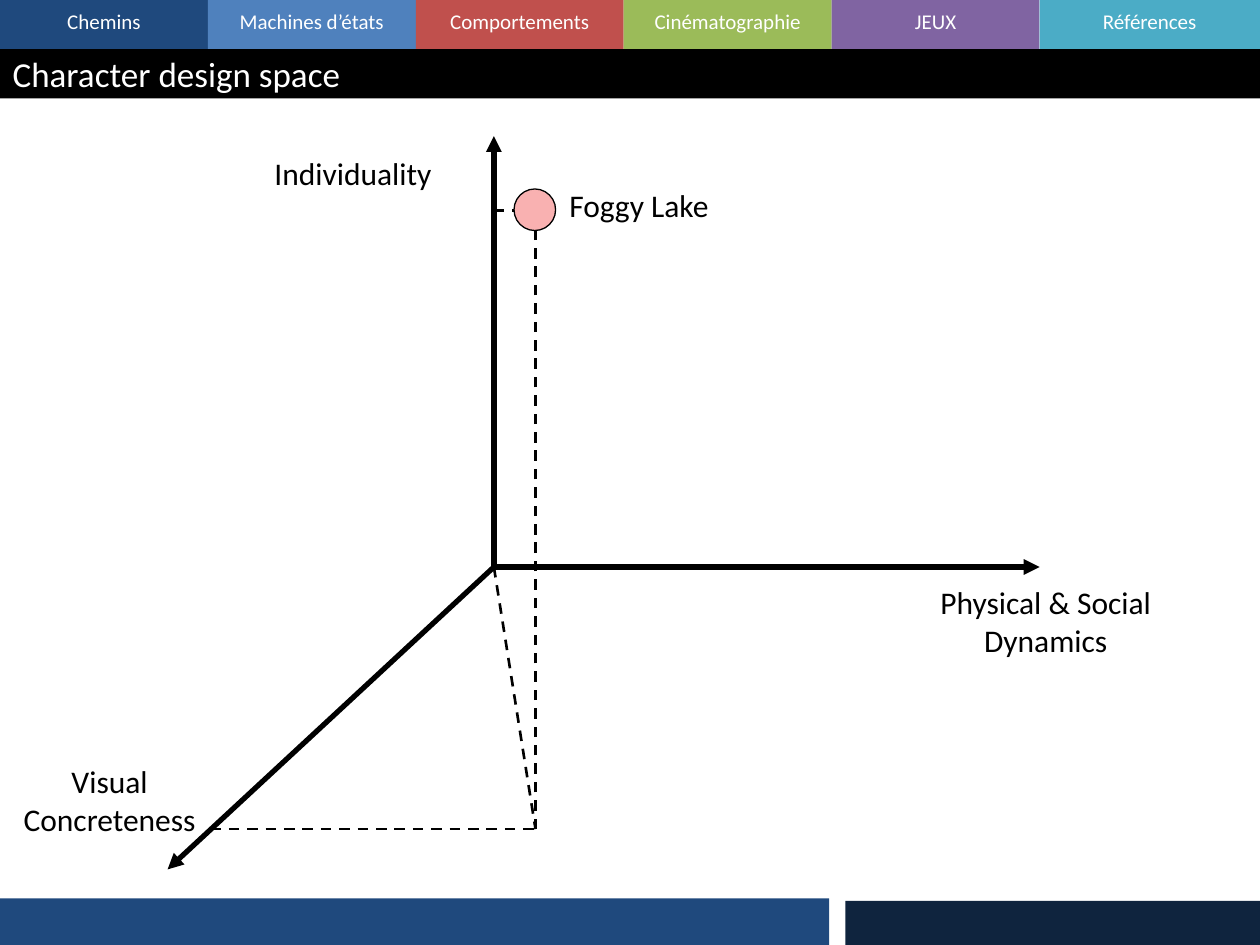
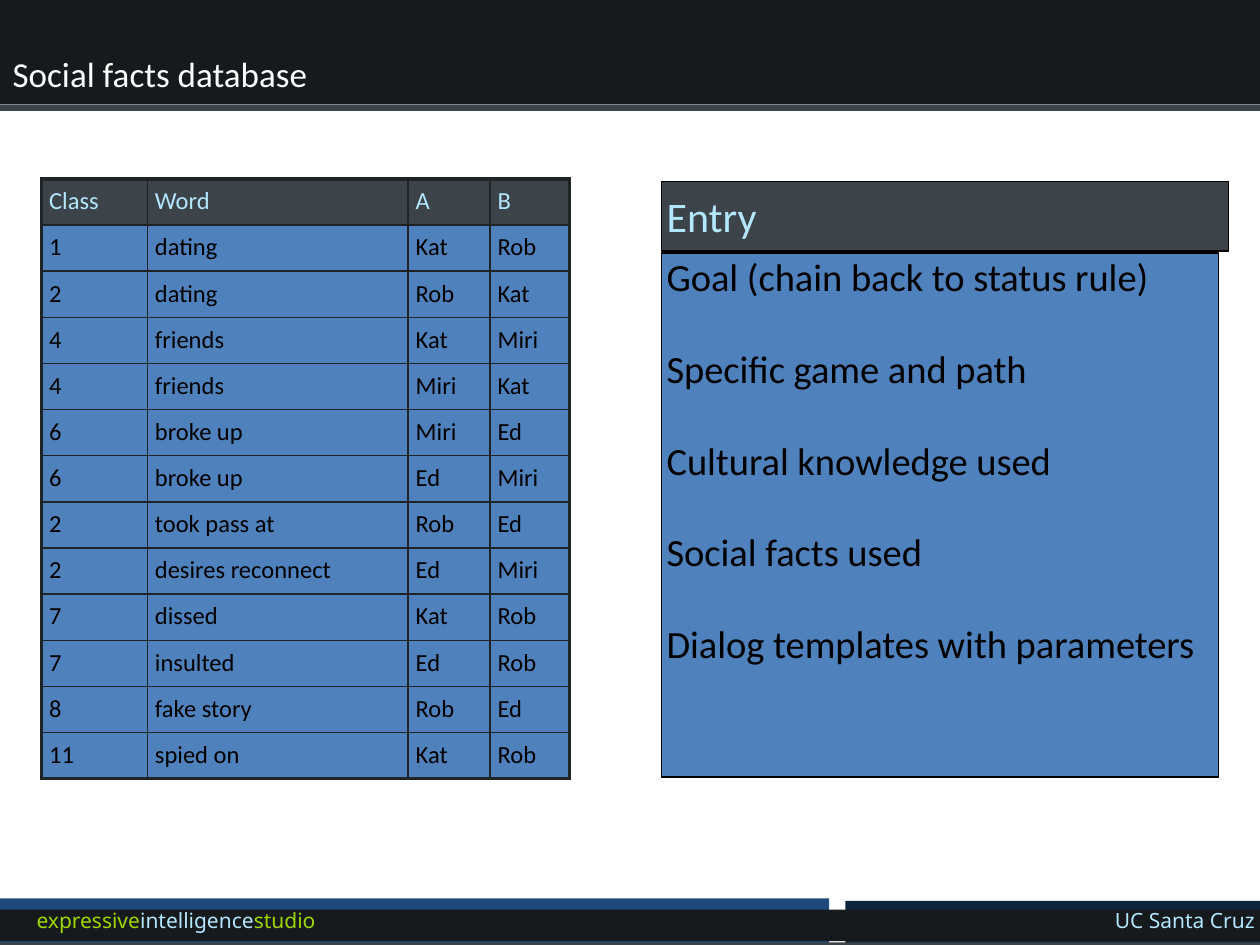
from dataclasses import dataclass

from lxml.etree import SubElement
from pptx import Presentation
from pptx.dml.color import RGBColor as RGB
from pptx.enum.dml import MSO_LINE as Dash
from pptx.enum.shapes import MSO_CONNECTOR as Link, MSO_SHAPE as Kind
from pptx.enum.text import MSO_ANCHOR as Anchor, MSO_AUTO_SIZE as Fit, PP_ALIGN as Align
from pptx.oxml.ns import qn
from pptx.util import Inches, Pt


@dataclass(frozen=True)
class Theme:
    font: str = "Calibri"
    brand: str = "Noto Sans"
    black: str = "000000"
    white: str = "FFFFFF"
    navy: str = "1F497D"
    deep: str = "0F243E"
    blue: str = "4F81BD"
    red: str = "C0504D"
    green: str = "9BBB59"
    violet: str = "8064A2"
    aqua: str = "4BACC6"
    pink: str = "F9B1B1"
    coal: str = "161A1C"
    slate: str = "3D4449"
    edge: str = "1F2427"
    sky: str = "B3E7FF"
    lime: str = "9ED600"
    small: int = 12
    cell: int = 14
    label: int = 18
    title: int = 20
    body: int = 22
    head: int = 24


THEME = Theme()
WIDE, HIGH = 10, 7.5
PAD = (0.1, 0.05, 0.1, 0.05)
SLIM = (0.04, 0, 0.04, 0)
TABS = [
    ("Chemins", THEME.navy),
    ("Machines d’états", THEME.blue),
    ("Comportements", THEME.red),
    ("Cinématographie", THEME.green),
    ("JEUX", THEME.violet),
    ("Références", THEME.aqua),
]
FACTS = [
    ("Class", "Word", "A", "B"),
    ("1", "dating", "Kat", "Rob"),
    ("2", "dating", "Rob", "Kat"),
    ("4", "friends", "Kat", "Miri"),
    ("4", "friends", "Miri", "Kat"),
    ("6", "broke up", "Miri", "Ed"),
    ("6", "broke up", "Ed", "Miri"),
    ("2", "took pass at", "Rob", "Ed"),
    ("2", "desires reconnect", "Ed", "Miri"),
    ("7", "dissed", "Kat", "Rob"),
    ("7", "insulted", "Ed", "Rob"),
    ("8", "fake story", "Rob", "Ed"),
    ("11", "spied on", "Kat", "Rob"),
]
ENTRY = [
    "Goal (chain back to status rule)",
    "Specific game and path",
    "Cultural knowledge used",
    "Social facts used",
    "Dialog templates with parameters",
]


def box(*nums):
    return [Inches(n) for n in nums]


def rgb(code):
    return RGB.from_string(code)


class Deck:
    def __init__(self, theme):
        self.theme = theme
        self.prs = Presentation()
        self.prs.slide_width, self.prs.slide_height = box(WIDE, HIGH)
        self.slide = None

    def start(self):
        """Add a title-only slide with the two footer bands."""
        self.slide = self.prs.slides.add_slide(self.prs.slide_layouts[5])
        self.shape((0, 7.13, 6.58, HIGH - 7.13), self.theme.navy)
        self.shape((6.71, 7.15, WIDE - 6.71, HIGH - 7.15), self.theme.deep)

    def style(self, para, size, color, align=Align.LEFT, font=None):
        para.alignment = align
        para.font.size = Pt(size)
        para.font.name = font or self.theme.font
        if color:
            para.font.color.rgb = rgb(color)

    def text(self, frame, lines, size, color, align=Align.LEFT, pad=PAD,
             anchor=Anchor.TOP, gap=0, wrap=True):
        frame.auto_size = Fit.NONE
        frame.word_wrap = wrap
        frame.vertical_anchor = anchor
        (frame.margin_left, frame.margin_top,
         frame.margin_right, frame.margin_bottom) = box(*pad)
        for i, line in enumerate(lines):
            para = frame.add_paragraph() if i else frame.paragraphs[0]
            para.text = line
            if i and gap:
                para.space_before = Pt(gap)
            self.style(para, size, color, align)

    def title(self, text):
        """Fill the title placeholder and lift it above the bands."""
        item = self.slide.shapes.title
        item.left, item.top, item.width, item.height = box(0, 0.39, WIDE, 0.39)
        self.text(item.text_frame, [text], self.theme.title, self.theme.white,
                  anchor=Anchor.MIDDLE)
        self.slide.shapes._spTree.append(item._element)

    def shape(self, area, fill, line=None, kind=Kind.RECTANGLE):
        item = self.slide.shapes.add_shape(kind, *box(*area))
        item.shadow.inherit = False
        item.fill.solid()
        item.fill.fore_color.rgb = rgb(fill)
        if line:
            item.line.color.rgb = rgb(self.theme.black)
            item.line.width = Pt(line)
        else:
            item.line.fill.background()
        return item

    def label(self, area, *lines, align=Align.LEFT):
        item = self.slide.shapes.add_textbox(*box(*area))
        self.text(item.text_frame, lines, self.theme.label, self.theme.black,
                  align, wrap=False)

    def line(self, start, end, width, arrow=False):
        """Draw a solid arrow or a dashed guide."""
        item = self.slide.shapes.add_connector(Link.STRAIGHT, *box(*start, *end))
        item.line.color.rgb = rgb(self.theme.black)
        item.line.width = Pt(width)
        if arrow:
            SubElement(item.line._get_or_add_ln(), qn("a:tailEnd"), type="triangle")
        else:
            item.line.dash_style = Dash.DASH
        SubElement(item._element.spPr, qn("a:effectLst"))

    def tabs(self):
        step = 1.65
        for i, (name, fill) in enumerate(TABS):
            left = i * step
            item = self.shape((left, 0, min(step, WIDE - left), 0.39), fill)
            if i == len(TABS) - 1:
                item.width = Inches(WIDE - left)
            self.text(item.text_frame, [name], self.theme.small, self.theme.white,
                      Align.CENTER, pad=(0.05, 0.07, 0.05, 0))
        self.shape((0, 0.39, WIDE, 0.39), self.theme.black)

    def brand(self, area, parts, align=Align.LEFT):
        """Fill a footer line from (text, colour) parts."""
        frame = self.slide.shapes.add_textbox(*box(*area)).text_frame
        self.text(frame, [""], self.theme.small, None, pad=SLIM)
        para = frame.paragraphs[0]
        for text, color in parts:
            run = para.add_run()
            run.text = text
            run.font.color.rgb = rgb(color)
        self.style(para, self.theme.small, None, align, self.theme.brand)

    def border(self, cell, sides):
        """Set cell borders from widths in points: left, right, top, bottom."""
        props = cell._tc.get_or_add_tcPr()
        for tag, width in zip(("lnL", "lnR", "lnT", "lnB"), sides):
            line = SubElement(props, qn(f"a:{tag}"), w=str(Pt(width)))
            fill = SubElement(line, qn("a:solidFill"))
            SubElement(fill, qn("a:srgbClr"), val=self.theme.edge)

    def table(self, area, cols, rows):
        t = self.theme
        grid = self.slide.shapes.add_table(len(rows), len(cols), *box(*area)).table
        grid.first_row = grid.horz_banding = False
        for col, width in zip(grid.columns, cols):
            col.width = Inches(width)
        for r, row in enumerate(rows):
            for c, text in enumerate(row):
                cell = grid.cell(r, c)
                outer = (c == 0, c == len(cols) - 1, r == 0, r == len(rows) - 1)
                self.border(cell, [2.25 if out else 1 for out in outer])
                cell.fill.solid()
                cell.fill.fore_color.rgb = rgb(t.blue if r else t.slate)
                (cell.margin_left, cell.margin_top,
                 cell.margin_right, cell.margin_bottom) = box(*[0.06] * 4)
                cell.text = text
                self.style(cell.text_frame.paragraphs[0], t.cell,
                           t.black if r else t.sky)


def space(deck):
    deck.start()
    deck.tabs()
    deck.title("Character design space")

    zero, foot = (3.92, 4.5), (4.25, 6.58)
    for tip in ((3.92, 1.08), (8.25, 4.5), (1.33, 6.9)):
        deck.line(zero, tip, 3, arrow=True)
    deck.label((7.33, 4.58, 1.94, 0.7), "Physical & Social", "Dynamics",
               align=Align.CENTER)
    deck.label((0.08, 6, 1.58, 0.7), "Visual", "Concreteness", align=Align.CENTER)
    deck.label((2.08, 1.17, 1.45, 0.4), "Individuality")

    deck.shape((4.08, 1.5, 0.33, 0.33), THEME.pink, 0.75, Kind.OVAL)
    deck.label((4.42, 1.43, 1.33, 0.4), "Foggy Lake")
    for start, end in ((foot, (4.25, 1.83)), ((3.92, 1.67), (4.08, 1.67)),
                       ((1.67, 6.58), foot), (zero, foot)):
        deck.line(start, end, 1.5)


def facts(deck):
    t = deck.theme
    deck.start()
    for top, high, fill in ((0, 0.83, t.coal), (7.22, 0.25, t.coal),
                            (0.83, 0.05, t.slate), (7.48, 0.02, t.slate)):
        deck.shape((0, top, WIDE, high), fill)
    deck.brand((0.25, 7.2, 3.92, 0.3), [("expressive", t.lime),
                                        ("intelligence", t.sky), ("studio", t.lime)])
    deck.brand((6.67, 7.2, 3.33, 0.3), [("UC Santa Cruz", t.sky)], Align.RIGHT)
    deck.title("Social facts database")

    body = deck.shape((5.25, 2.01, 4.42, 4.16), t.blue, 1)
    deck.text(body.text_frame, ENTRY, t.body, t.black, pad=SLIM, gap=26)
    head = deck.shape((5.25, 1.44, 4.5, 0.55), t.slate, 1)
    deck.text(head.text_frame, ["Entry"], t.head, t.sky, pad=SLIM,
              anchor=Anchor.MIDDLE)
    deck.table((0.33, 1.42, 4.19, 4.76), (0.84, 2.07, 0.65, 0.63), FACTS)


def main():
    deck = Deck(THEME)
    space(deck)
    facts(deck)
    deck.prs.save("out.pptx")


if __name__ == "__main__":
    main()
